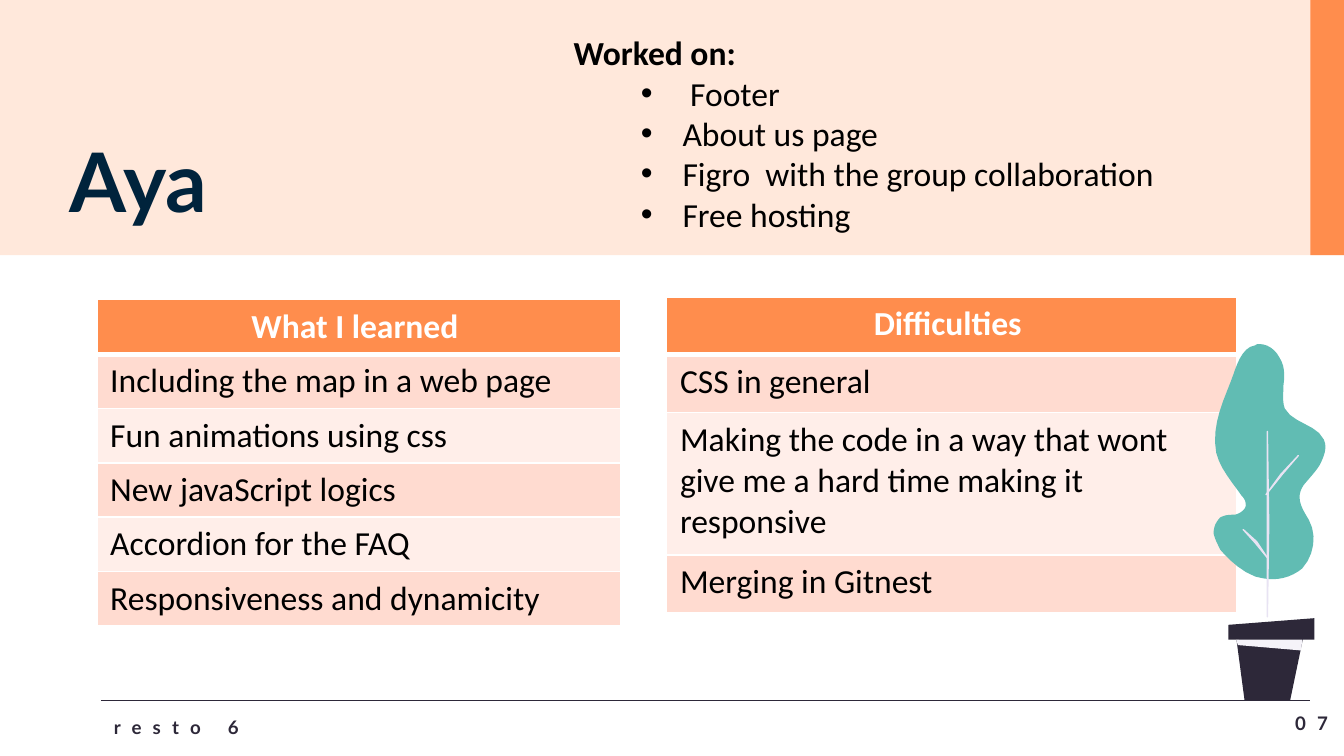
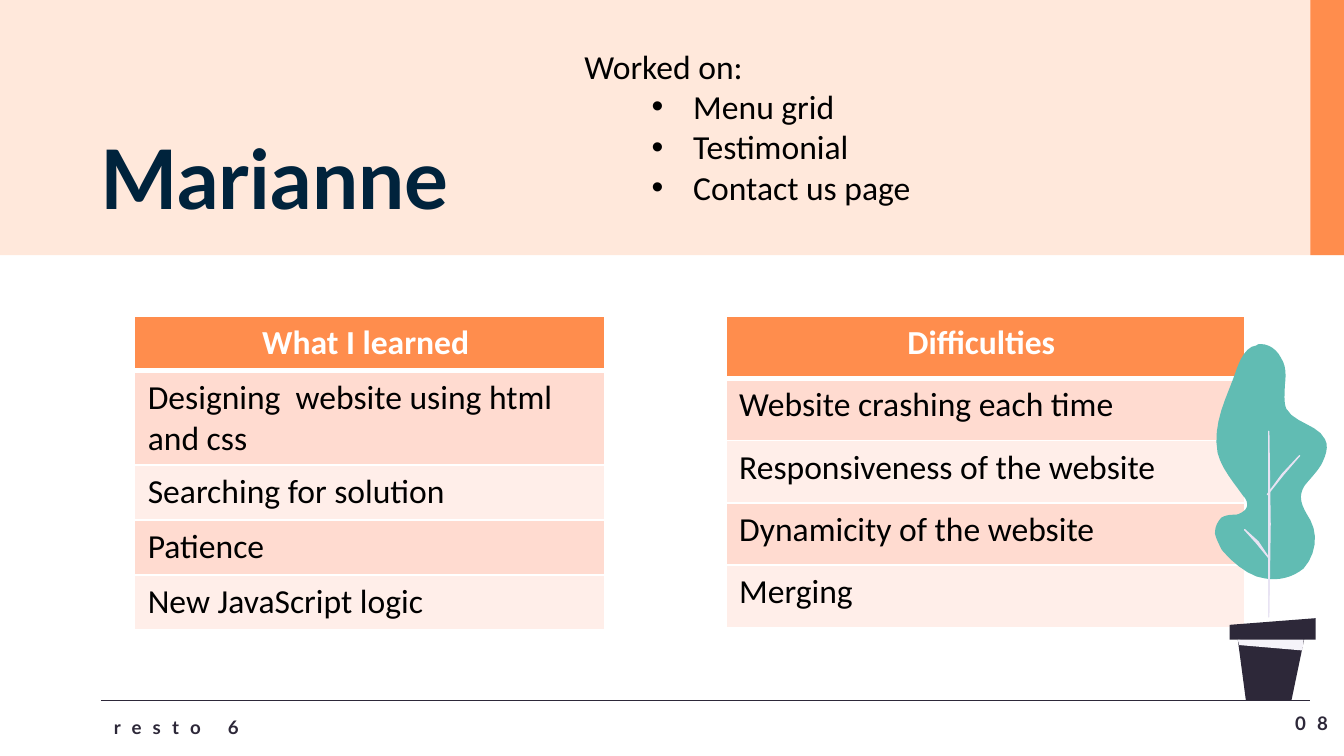
from lxml.etree import SubElement
from pptx import Presentation
from pptx.dml.color import RGBColor
from pptx.enum.shapes import MSO_CONNECTOR as Connector, MSO_SHAPE as Preset
from pptx.enum.text import MSO_AUTO_SIZE as AutoSize, PP_ALIGN as Align
from pptx.oxml.ns import qn
from pptx.util import Inches, Pt

PEACH, ORANGE, NAVY, INK = "FFE8DB", "FF8D4D", "00233C", "2D2839"
BLACK, WHITE = "000000", "FFFFFF"
BANDS = ("FFDBD0", "FFEEE9")
LEAF, VEIN, RIM = "61BCB3", "E8E3F3", "F5F3F9"

TITLE = {"name": "Lato", "size": Pt(44), "bold": True}
FOOTER = {"name": "Lato", "size": Pt(10), "bold": True}
BODY = {"name": "Calibri", "size": Pt(18), "bold": False}
STRONG = {**BODY, "bold": True}
NO_INSETS = {f"margin_{side}": 0 for side in ("left", "top", "right", "bottom")}

LEAF_CURVE = [
    (9.37, 2.56), (9.36, 2.56), (9.35, 2.56), (9.34, 2.57),
    (9.26, 2.58), (9.22, 2.67), (9.19, 2.75), (9.17, 2.81), (9.15, 2.86), (9.13, 2.91),
    (9.07, 3.06), (9.02, 3.21), (9.05, 3.37), (9.08, 3.49), (9.17, 3.59), (9.24, 3.69),
    (9.26, 3.71), (9.27, 3.73), (9.27, 3.76), (9.27, 3.79), (9.23, 3.82), (9.19, 3.83),
    (9.15, 3.83), (9.12, 3.83), (9.08, 3.85), (9.05, 3.88), (9.03, 3.92), (9.03, 3.97),
    (9.04, 4.01), (9.06, 4.05), (9.08, 4.09), (9.08, 4.09), (9.2, 4.24), (9.34, 4.29),
    (9.38, 4.3), (9.42, 4.31), (9.47, 4.31), (9.55, 4.31), (9.63, 4.28), (9.69, 4.23),
    (9.78, 4.13), (9.8, 3.98), (9.74, 3.87), (9.71, 3.82), (9.67, 3.76), (9.67, 3.7),
    (9.67, 3.67), (9.68, 3.64), (9.7, 3.61), (9.74, 3.56), (9.79, 3.51), (9.82, 3.46),
    (9.85, 3.4), (9.88, 3.33), (9.85, 3.27), (9.8, 3.16), (9.62, 3.15), (9.56, 3.04),
    (9.54, 2.99), (9.55, 2.92), (9.55, 2.87), (9.56, 2.79), (9.56, 2.72), (9.52, 2.66),
    (9.49, 2.6), (9.43, 2.56), (9.37, 2.56),
]
VEINS = [
    [(9.43, 3.21), (9.43, 4.59), (9.44, 3.9)],
    [(9.66, 3.39), (9.53, 3.53), (9.42, 3.68), (9.54, 3.53)],
    [(9.25, 3.94), (9.34, 4.04), (9.43, 4.15), (9.35, 4.03)],
]
POT = [
    (INK, [(9.71, 4.68), (9.2, 4.76), (9.26, 5.21), (9.6, 5.21)]),
    (INK, [(9.78, 4.6), (9.14, 4.65), (9.14, 4.76), (9.78, 4.76)]),
    (RIM, [(9.2, 4.76), (9.21, 4.8), (9.68, 4.84), (9.69, 4.76)]),
]


def color(value):
    """Turn a hex string into a colour."""
    return RGBColor.from_string(value)


def paint(shape, fill, line=None):
    """Give a shape a flat fill, an optional thin line and no shadow."""
    shape.shadow.inherit = False
    shape.fill.solid()
    shape.fill.fore_color.rgb = color(fill)
    if line:
        shape.line.color.rgb = color(line)
        shape.line.width = Pt(0.75)
    else:
        shape.line.fill.background()


def add_band(page, left, width, fill):
    """Add a part of the band along the top."""
    size = (Inches(value) for value in (left, 0, width, 1.9))
    paint(page.shapes.add_shape(Preset.RECTANGLE, *size), fill)


def write(para, text, style, tint, spacing=0):
    """Add one formatted run to a paragraph."""
    span = para.add_run()
    span.text = text
    for name, value in style.items():
        setattr(span.font, name, value)
    span.font.color.rgb = color(tint)
    if spacing:
        span.font._element.set("spc", str(spacing * 100))


def add_box(page, place, insets=None):
    """Add an empty wrapping text box and return its text frame."""
    frame = page.shapes.add_textbox(*(Inches(value) for value in place)).text_frame
    frame.word_wrap = True
    frame.auto_size = AutoSize.SHAPE_TO_FIT_TEXT
    for name, value in (insets or {}).items():
        setattr(frame, name, value)
    return frame


def add_label(page, place, text, style, tint, spacing=0, align=Align.LEFT):
    """Add a single line of text without insets."""
    para = add_box(page, place, NO_INSETS).paragraphs[0]
    para.alignment = align
    write(para, text, style, tint, spacing)


def add_tasks(page, place, tasks, heading_style):
    """Add the bulleted list of work done."""
    frame = add_box(page, place)
    write(frame.paragraphs[0], "Worked on:", heading_style, BLACK)
    for task in tasks:
        para = frame.add_paragraph()
        para.level = 1
        layout = para._p.get_or_add_pPr()
        layout.set("marL", str(Inches(0.81)))
        layout.set("indent", str(Inches(-0.31)))
        SubElement(layout, qn("a:buFont"), typeface="Arial")
        SubElement(layout, qn("a:buChar"), char="•")
        write(para, task, BODY, BLACK)


def set_borders(cell, **widths):
    """Draw white cell borders, one point wide unless told otherwise."""
    for side in "LRTB":
        line = SubElement(cell._tc.get_or_add_tcPr(), qn(f"a:ln{side}"),
                          w=str(Pt(widths.get(side, 1))))
        fill = SubElement(line, qn("a:solidFill"))
        SubElement(fill, qn("a:srgbClr"), val=WHITE)


def add_list_table(page, left, top, width, heights, texts):
    """Add a one-column table with a header and banded rows."""
    place = (Inches(value) for value in (left, top, width, sum(heights)))
    table = page.shapes.add_table(len(texts), 1, *place).table
    for index, (text, height) in enumerate(zip(texts, heights)):
        table.rows[index].height = Inches(height)
        cell = table.cell(index, 0)
        header = index == 0
        set_borders(cell, **({"B": 3} if header else {"T": 3} if index == 1 else {}))
        cell.fill.solid()
        cell.fill.fore_color.rgb = color(ORANGE if header else BANDS[(index - 1) % 2])
        para = cell.text_frame.paragraphs[0]
        para.alignment = Align.CENTER if header else Align.LEFT
        write(para, text, STRONG if header else BODY, WHITE if header else BLACK)


def flatten(curve, steps=6):
    """Sample points along a chain of cubic curves."""
    points = [curve[0]]
    for start in range(0, len(curve) - 1, 3):
        for step in range(1, steps + 1):
            t = step / steps
            weights = ((1 - t) ** 3, 3 * t * (1 - t) ** 2, 3 * t * t * (1 - t), t ** 3)
            corners = curve[start:start + 4]
            points.append(tuple(sum(w * corner[axis] for w, corner in zip(weights, corners))
                                for axis in (0, 1)))
    return points


def add_outline(group, points, shift, fill, line=None):
    """Add a closed outline through the points."""
    first, *rest = [(Inches(x + shift), Inches(y)) for x, y in points]
    builder = group.shapes.build_freeform(*first)
    builder.add_line_segments(rest, close=True)
    paint(builder.convert_to_shape(), fill, line)


def add_plant(page, shift):
    """Add the potted plant at the lower right."""
    group = page.shapes.add_group_shape()
    add_outline(group, flatten(LEAF_CURVE), shift, LEAF)
    for vein in VEINS:
        add_outline(group, vein, shift, VEIN, VEIN)
    for fill, points in POT:
        add_outline(group, points, shift, fill)


def add_rule(page):
    """Add the thin line above the footer."""
    ends = (Inches(value) for value in (0.75, 5.21, 9.75, 5.21))
    rule = page.shapes.add_connector(Connector.STRAIGHT, *ends)
    rule.line.color.rgb = color(INK)
    rule.line.width = Pt(0.5)
    SubElement(rule._element.spPr, qn("a:effectLst"))


def add_member(deck, name, name_place, number, tasks, tasks_place, heading_style,
               tables, shift=0):
    """Add the slide of one team member."""
    page = deck.slides.add_slide(deck.slide_layouts[6])
    add_band(page, 0, 10, PEACH)
    add_band(page, 9.75, 0.25, ORANGE)
    add_label(page, name_place, name, TITLE, NAVY)
    add_label(page, (7.15, 5.3, 2.73, 0.17), number, FOOTER, INK, 6, Align.RIGHT)
    add_rule(page)
    add_label(page, (0.73, 5.33, 2.44, 0.17), " resto 6", FOOTER, INK, 6)
    add_tasks(page, tasks_place, tasks, heading_style)
    for table in tables:
        add_list_table(page, *table)
    add_plant(page, shift)


def main():
    """Build and save the deck."""
    deck = Presentation()
    deck.slide_width, deck.slide_height = Inches(10), Inches(10 * 9 / 16)
    add_member(
        deck, "Aya", (0.52, 0.97, 2.39, 0.74), "07",
        [" Footer", "About us page", "Figro  with the group collaboration", "Free hosting"],
        (4.17, 0.19, 5.08, 1.62), STRONG,
        [(0.72, 2.23, 3.9, [2.43 / 6] * 6,
          ["What I learned ", "Including the map in a web page", "Fun animations using css",
           "New javaScript logics", "Accordion for the FAQ", "Responsiveness and dynamicity"]),
         (4.96, 2.21, 4.24, [0.43, 0.43, 1.06, 0.43],
          ["Difficulties ", "CSS in general",
           "Making the code in a way that wont give me a hard time making it responsive",
           "Merging in Gitnest"])])
    add_member(
        deck, "Marianne", (0.75, 0.95, 3.08, 0.74), "08",
        ["Menu grid", "Testimonial", "Contact us page"],
        (4.25, 0.29, 4.67, 1.31), BODY,
        [(1, 2.35, 3.5, [0.41, 0.69, 0.41, 0.41, 0.41],
          ["What I learned ", "Designing  website using html and css",
           "Searching for solution", "Patience", "New JavaScript logic"]),
         (5.4, 2.35, 3.86, [2.32 / 5] * 5,
          ["Difficulties ", "Website crashing each time", "Responsiveness of the website",
           "Dynamicity of the website", "Merging"])],
        shift=0.01)
    deck.save("out.pptx")


if __name__ == "__main__":
    main()
